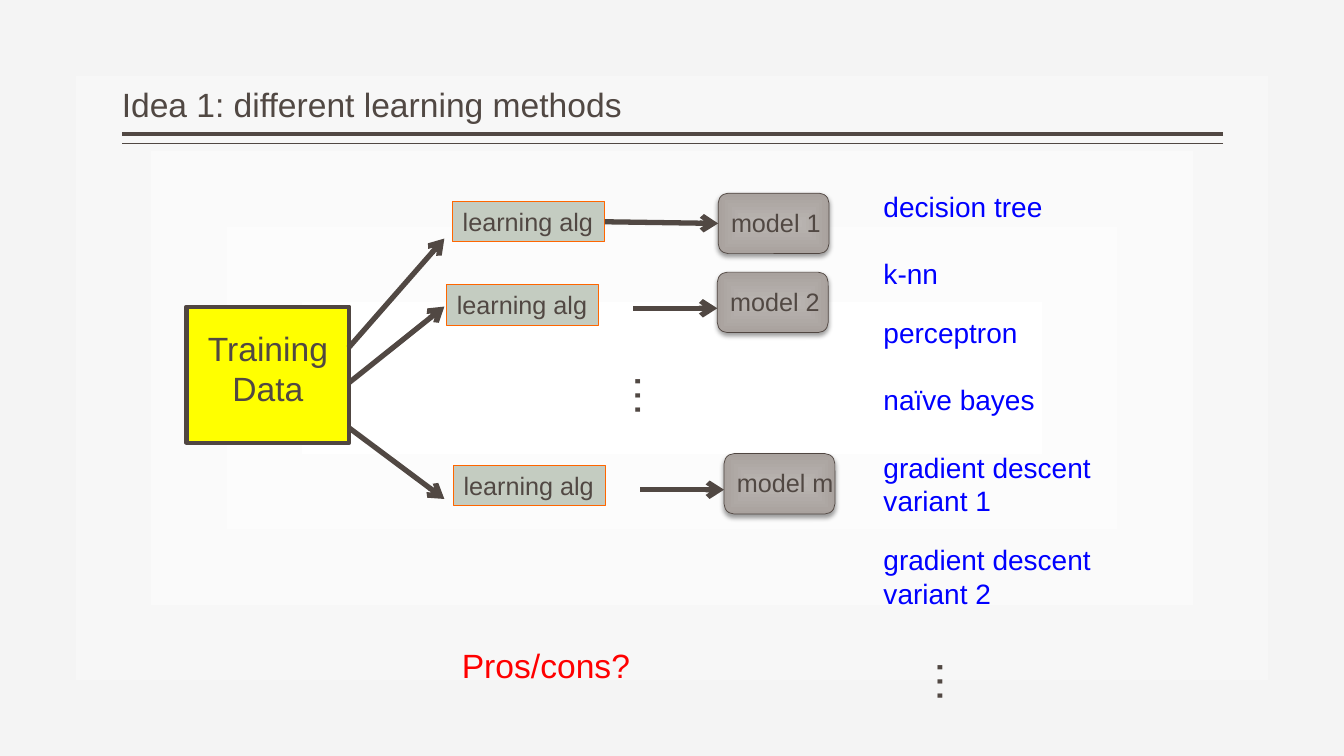
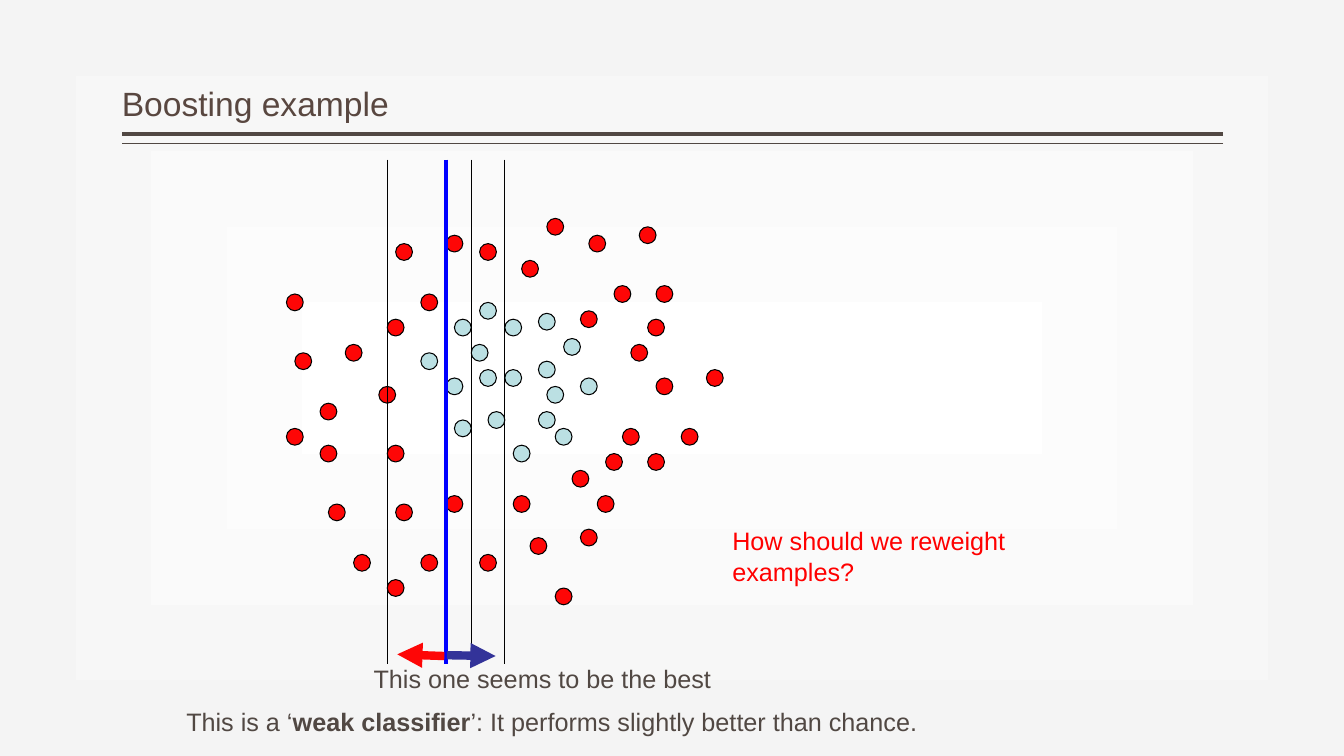
from dataclasses import dataclass

from lxml.etree import SubElement
from pptx import Presentation
from pptx.dml.color import RGBColor
from pptx.enum.shapes import MSO_CONNECTOR, MSO_SHAPE
from pptx.enum.text import MSO_ANCHOR, PP_ALIGN
from pptx.oxml import parse_xml
from pptx.oxml.ns import nsdecls, qn
from pptx.util import Inches, Pt

COLS, ROWS = 160, 90
CELL = Inches(1) / 12
FONT = "Arial"
HEX = {
    "ink": "514843", "brown": "594740", "edge": "504641", "blue": "0000FF",
    "red": "FF0000", "dot": "FE0606", "pale": "BBE0E3", "navy": "333399",
    "black": "000000", "sage": "C4CCC1", "orange": "FF6600", "yellow": "FFFF00",
    "white": "FFFFFF", "mist": "F4F4F4", "stone": "B9B4B1", "slate": "A9A29E",
}


@dataclass(frozen=True)
class Box:
    x: float
    y: float
    w: float
    h: float


@dataclass(frozen=True)
class Chain:
    name: str
    alg: tuple[float, float]
    model: tuple[float, float]
    joined: bool = False


@dataclass(frozen=True)
class Note:
    text: str
    y: float
    h: float = 5.3


CHAINS = [
    Chain("model 1", (53.9, 24), (85.5, 23), True),
    Chain("model 2", (53.2, 33.9), (85.4, 32.4)),
    Chain("model m", (54, 55.4), (86.2, 54)),
]
NOTES = [
    Note("decision tree", 22), Note("k-nn", 30), Note("perceptron", 37),
    Note("naïve bayes", 45), Note("gradient descent variant 1", 53, 9.2),
    Note("gradient descent variant 2", 64, 9.2),
]
FAN = [(41.4, 28.4), (45.6, 36.5), (50.9, 59.4)]
DOT_X, DOT_Y, DOT = 34.1, 26, 2
PALE = [
    (26, 12), (30, 11.3), (33, 14.3), (23, 18), (30, 23), (35, 19), (20, 24),
    (26, 18), (30, 17), (31, 20), (24, 23), (19, 19), (20, 12), (27, 27),
    (22, 15), (32, 25), (16, 16), (23, 10),
]
REDS = [
    (44, 19), (43, 12), (40, 25), (43, 28), (50, 18), (47, 25), (1, 16),
    (0, 9), (0, 25), (7, 15), (4, 22), (13, 34), (12, 27), (12, 43), (19, 33),
    (16, 40), (29, 38), (27, 33), (23, 40), (35, 37), (32, 44), (13, 3),
    (23, 3), (12, 12), (19, 2), (16, 9), (36, 2), (28, 5), (35, 11), (42, 1),
    (39, 8), (5, 34), (4, 27), (11, 20), (8, 40), (31, 0), (44, 8), (41, 15),
    (34, 30), (37, 33), (38, 28),
]
CUTS = [(26, "black", 0.75), (22, "black", 0.75), (19, "blue", 3), (12, "black", 0.75)]


def size(cells: float) -> int:
    return round(cells * CELL)


def tint(name: str) -> RGBColor:
    return RGBColor.from_string(HEX[name])


def blend(fill, root, inner: str, outer: str, inset: int, alpha: int = 100) -> None:
    fill.solid()
    fill.fore_color.rgb = tint(outer)
    old = root.xpath(".//p:bgPr/a:solidFill | ./p:spPr/a:solidFill")[0]
    rim = inset * 1000
    new = parse_xml(
        f'<a:gradFill {nsdecls("a")} rotWithShape="1"><a:gsLst>'
        f'<a:gs pos="0"><a:srgbClr val="{HEX[inner]}"/></a:gs>'
        f'<a:gs pos="100000"><a:srgbClr val="{HEX[outer]}">'
        f'<a:alpha val="{alpha * 1000}"/></a:srgbClr></a:gs></a:gsLst>'
        f'<a:path path="rect"><a:fillToRect l="{rim}" t="{rim}" r="{rim}" b="{rim}"/>'
        f'</a:path></a:gradFill>'
    )
    old.getparent().replace(old, new)


def paint(shape, fill: str | None, edge: str | None, width: float) -> None:
    if fill:
        shape.fill.solid()
        shape.fill.fore_color.rgb = tint(fill)
    if edge:
        shape.line.color.rgb = tint(edge)
        shape.line.width = Pt(width)


def text(slide, words: str, box: Box, *, pt: float = 18, color: str = "ink",
         kind=None, fill: str | None = None, edge: str | None = None,
         width: float = 0.75, wrap: bool = True, align=PP_ALIGN.LEFT,
         anchor=MSO_ANCHOR.TOP, left: float = 1.2, top: float = 0.6,
         right: float = 1.2, space: float = 1, turn: float = 0):
    area = [size(v) for v in (box.x, box.y, box.w, box.h)]
    if kind is None:
        shape = slide.shapes.add_textbox(*area)
    else:
        shape = slide.shapes.add_shape(kind, *area)
        shape.shadow.inherit = False
    paint(shape, fill, edge, width)
    shape.rotation = turn
    frame = shape.text_frame
    frame.word_wrap = wrap
    frame.vertical_anchor = anchor
    frame.margin_left, frame.margin_right = size(left), size(right)
    frame.margin_top, frame.margin_bottom = size(top), size(0.6)
    for n, row in enumerate(words.split("\n")):
        para = frame.add_paragraph() if n else frame.paragraphs[0]
        para.alignment = align
        para.line_spacing = space
        for k, part in enumerate(row.split("*")):
            run = para.add_run()
            run.text = part
            run.font.name, run.font.size = FONT, Pt(pt)
            run.font.bold = k % 2 == 1
            run.font.color.rgb = tint(color)
    return shape


def line(slide, start: tuple[float, float], end: tuple[float, float], *,
         color: str = "ink", width: float = 3.78, head: str | None = None):
    ends = [size(v) for v in (*start, *end)]
    link = slide.shapes.add_connector(MSO_CONNECTOR.STRAIGHT, *ends)
    paint(link, None, color, width)
    if head:
        SubElement(link.line._get_or_add_ln(), qn("a:tailEnd"), type=head)
    SubElement(link._element.spPr, qn("a:effectLst"))
    return link


def page(deck, title: str, color: str, space: float):
    slide = deck.slides.add_slide(deck.slide_layouts[6])
    for y, width in ((16, 3), (17.1, 1)):
        line(slide, (145.6, y), (14.5, y), width=width)
    text(slide, title, Box(14.5, 1, 131, 14.4), pt=24, color=color,
         anchor=MSO_ANCHOR.BOTTOM, left=0, right=0, space=space)
    return slide


def model(slide, name: str, x: float, y: float):
    shape = text(slide, name, Box(x, y, 13.2, 7.2), kind=MSO_SHAPE.ROUNDED_RECTANGLE,
                 edge="edge", width=0.5, wrap=False, top=1.3, right=0)
    blend(shape.fill, shape._element, "stone", "slate", 50)
    glow = shape._element.spPr.find(qn("a:effectLst"))
    glow.append(parse_xml(
        f'<a:outerShdw {nsdecls("a")} blurRad="{Pt(3.5)}" dist="{Pt(2)}" dir="5400000" '
        f'rotWithShape="0"><a:srgbClr val="{HEX["black"]}"><a:alpha val="38000"/>'
        f'</a:srgbClr></a:outerShdw>'
    ))
    return shape


def chain(slide, item: Chain) -> None:
    alg = text(slide, "learning alg", Box(*item.alg, 18.1, 4.8), fill="sage",
               edge="orange", wrap=False)
    x, y = item.model
    goal = model(slide, item.name, x, y)
    link = line(slide, (x - 10, y + 4.3), (x, y + 4.3), head="arrow")
    if item.joined:
        link.begin_connect(alg, 3)
        link.end_connect(goal, 1)


def methods(deck) -> None:
    slide = page(deck, "Idea 1: different learning methods", "ink", 0.9)
    for note in NOTES:
        text(slide, note.text, Box(104, note.y, 33, note.h), pt=20, color="blue")
    for x, y in ((109.8, 77.4), (73.8, 43.3)):
        text(slide, "…", Box(x, y, 7.8, 7.7), pt=32, wrap=False, turn=90)
    text(slide, "Pros/cons?", Box(53.8, 76.2, 22.7, 6), pt=24, color="red", wrap=False)
    text(slide, "Training\nData", Box(22.2, 36.5, 19.4, 16.2), pt=24,
         kind=MSO_SHAPE.RECTANGLE, fill="yellow", edge="edge", width=3,
         align=PP_ALIGN.CENTER, top=2.5)
    for item in CHAINS:
        chain(slide, item)
    for y, goal in FAN:
        line(slide, (41.5, y), (52.9, goal), head="arrow")


def dots(slide, spots: list[tuple[float, float]], color: str) -> None:
    for col, row in spots:
        area = [size(v) for v in (DOT_X + col, DOT_Y + row, DOT, DOT)]
        dot = slide.shapes.add_shape(MSO_SHAPE.OVAL, *area)
        dot.shadow.inherit = False
        paint(dot, color, "black", 0.75)


def boost(deck) -> None:
    slide = page(deck, "Boosting example", "brown", 0.93)
    dots(slide, PALE, "pale")
    dots(slide, REDS, "dot")
    for col, color, width in CUTS:
        line(slide, (DOT_X + col, 19), (DOT_X + col, 79), color=color, width=width)
    line(slide, (52.9, 78.1), (47.3, 77.9), color="dot", width=6, head="triangle")
    line(slide, (53.2, 78), (59, 78.1), color="navy", width=6, head="triangle")
    text(slide, "This one seems to be the best", Box(43.3, 78.7, 43, 4.7),
         wrap=False, space=0.93)
    text(slide, "This is a ‘*weak classifier*’: It performs slightly better than chance.",
         Box(21, 83.8, 90.2, 4.7), wrap=False, space=0.93)
    text(slide, "How should we reweight examples?", Box(86, 62, 50, 8.5), color="red")


def main() -> None:
    deck = Presentation()
    deck.slide_width, deck.slide_height = size(COLS), size(ROWS)
    base = deck.slide_master
    blend(base.background.fill, base.element, "white", "mist", 5, 80)
    methods(deck)
    boost(deck)
    deck.save("out.pptx")


if __name__ == "__main__":
    main()
